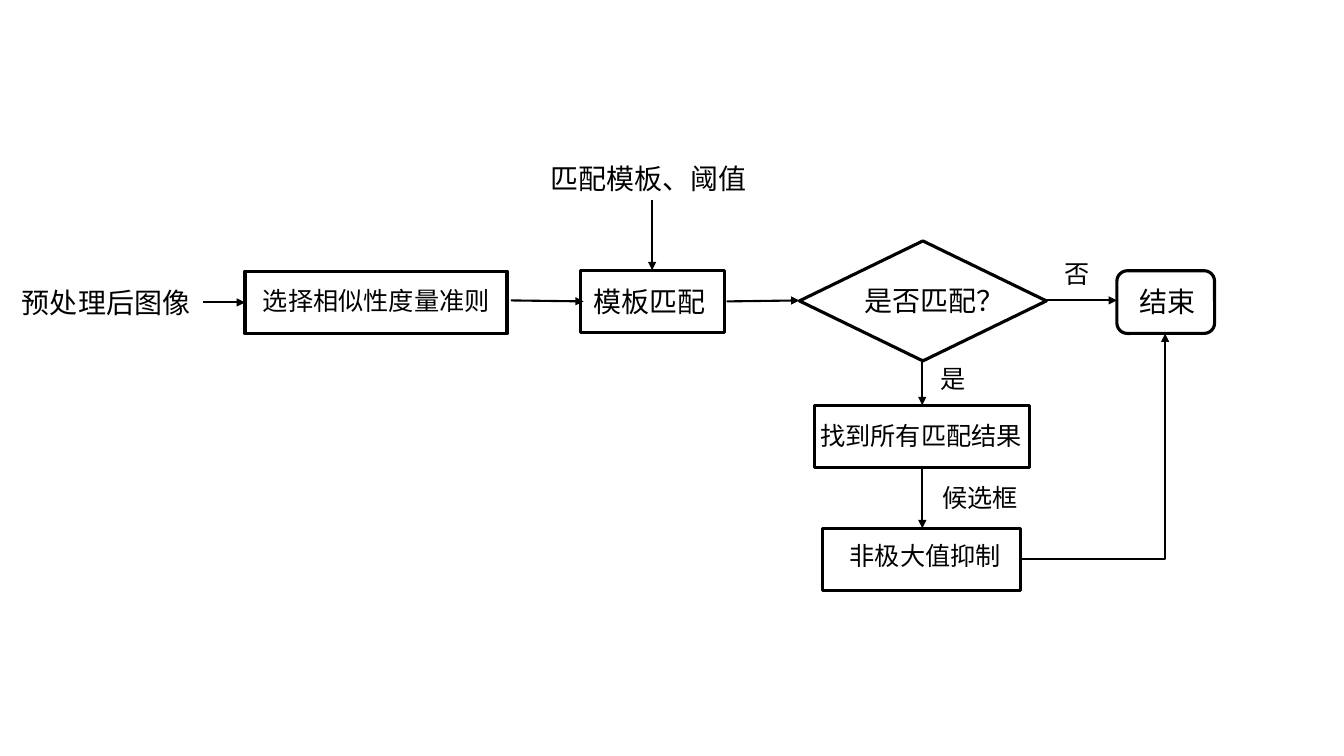
from lxml.etree import SubElement
from pptx import Presentation
from pptx.dml.color import RGBColor
from pptx.enum.shapes import MSO_CONNECTOR, MSO_SHAPE
from pptx.enum.text import MSO_AUTO_SIZE
from pptx.oxml.ns import qn
from pptx.util import Pt

COLORS = {"ink": "000000"}
FONT = "Noto Sans CJK SC"
INK = RGBColor.from_string(COLORS["ink"])
LABEL_HEIGHT = {18: 29.1, 20: 31.5}
NODE_HEIGHT = 44.8


def add_label(shapes, text, left, top, width, size, wrap=False):
    box = shapes.add_textbox(Pt(left), Pt(top), Pt(width), Pt(LABEL_HEIGHT[size]))
    box.text_frame.word_wrap = wrap
    box.text_frame.auto_size = MSO_AUTO_SIZE.SHAPE_TO_FIT_TEXT
    para = box.text_frame.paragraphs[0]
    para.add_run().text = text
    para.font.name = FONT
    para.font.size = Pt(size)
    para.font.color.rgb = INK
    defaults = para._p.get_or_add_pPr().find(qn("a:defRPr"))
    SubElement(defaults, qn("a:ea")).set("typeface", FONT)


def add_outline(shapes, kind, left, top, width, height):
    shape = shapes.add_shape(kind, Pt(left), Pt(top), Pt(width), Pt(height))
    shape.shadow.inherit = False
    shape.fill.background()
    shape.line.color.rgb = INK
    shape.line.width = Pt(2.25)


def add_node(page, kind, left, top, width, label):
    group = page.shapes.add_group_shape()
    add_outline(group.shapes, kind, left, top, width, NODE_HEIGHT)
    add_label(group.shapes, *label)


def add_arrow(page, start, end, bent=False):
    kind = MSO_CONNECTOR.ELBOW if bent else MSO_CONNECTOR.STRAIGHT
    points = [Pt(value) for value in (*start, *end)]
    arrow = page.shapes.add_connector(kind, *points)
    arrow.line.color.rgb = INK
    arrow.line.width = Pt(1.5)
    properties = arrow._element.spPr
    if bent:
        properties.find(qn("a:prstGeom")).set("prst", "bentConnector2")
    SubElement(properties.find(qn("a:ln")), qn("a:tailEnd")).set("type", "triangle")
    SubElement(properties, qn("a:effectLst"))


def main():
    deck = Presentation()
    deck.slide_width, deck.slide_height = Pt(960), Pt(540)
    page = deck.slides.add_slide(deck.slide_layouts[6])

    add_outline(page.shapes, MSO_SHAPE.DIAMOND, 571, 172.1, 176.4, 85.7)

    nodes = [
        (MSO_SHAPE.RECTANGLE, 175, 193.7, 187.2,
         ("选择相似性度量准则", 180.7, 200.2, 185, 18, True)),
        (MSO_SHAPE.RECTANGLE, 414.7, 193, 103,
         ("模板匹配", 416.9, 199.5, 103, 20, True)),
        (MSO_SHAPE.FLOWCHART_ALTERNATE_PROCESS, 797.8, 193.4, 69.8,
         ("结束", 807.1, 199.5, 60.5, 20, True)),
        (MSO_SHAPE.RECTANGLE, 581.8, 289.4, 153.4,
         ("找到所有匹配结果", 578.9, 296.6, 159.8, 18)),
        (MSO_SHAPE.RECTANGLE, 587.5, 377.3, 141.8,
         ("非极大值抑制", 599.8, 382.3, 123.8, 18)),
    ]
    for node in nodes:
        add_node(page, *node)

    labels = [
        ("预处理后图像", 8.6, 200.2, 135.4, 20),
        ("匹配模板、阈值", 385.9, 111.6, 161.3, 20, True),
        ("是否匹配？", 610.6, 199, 103.7, 20, True),
        ("否", 753.1, 180.7, 32.4, 18),
        ("是", 664.6, 255.6, 32.4, 18),
        ("候选框", 666, 340.6, 69.1, 18),
    ]
    for label in labels:
        add_label(page.shapes, *label)

    arrows = [
        ((144.7, 216), (175, 216)),
        ((365, 214.6), (416.9, 215.3)),
        ((465.8, 142.6), (465.8, 193)),
        ((519.1, 215.3), (571, 214.6)),
        ((747.4, 214.6), (797.8, 214.6)),
        ((658.8, 257.8), (658.8, 289.4)),
        ((658.8, 334.1), (658.8, 377.3)),
    ]
    for start, end in arrows:
        add_arrow(page, start, end)
    add_arrow(page, (729.4, 399.6), (832.3, 238.3), bent=True)

    deck.save("out.pptx")


if __name__ == "__main__":
    main()
